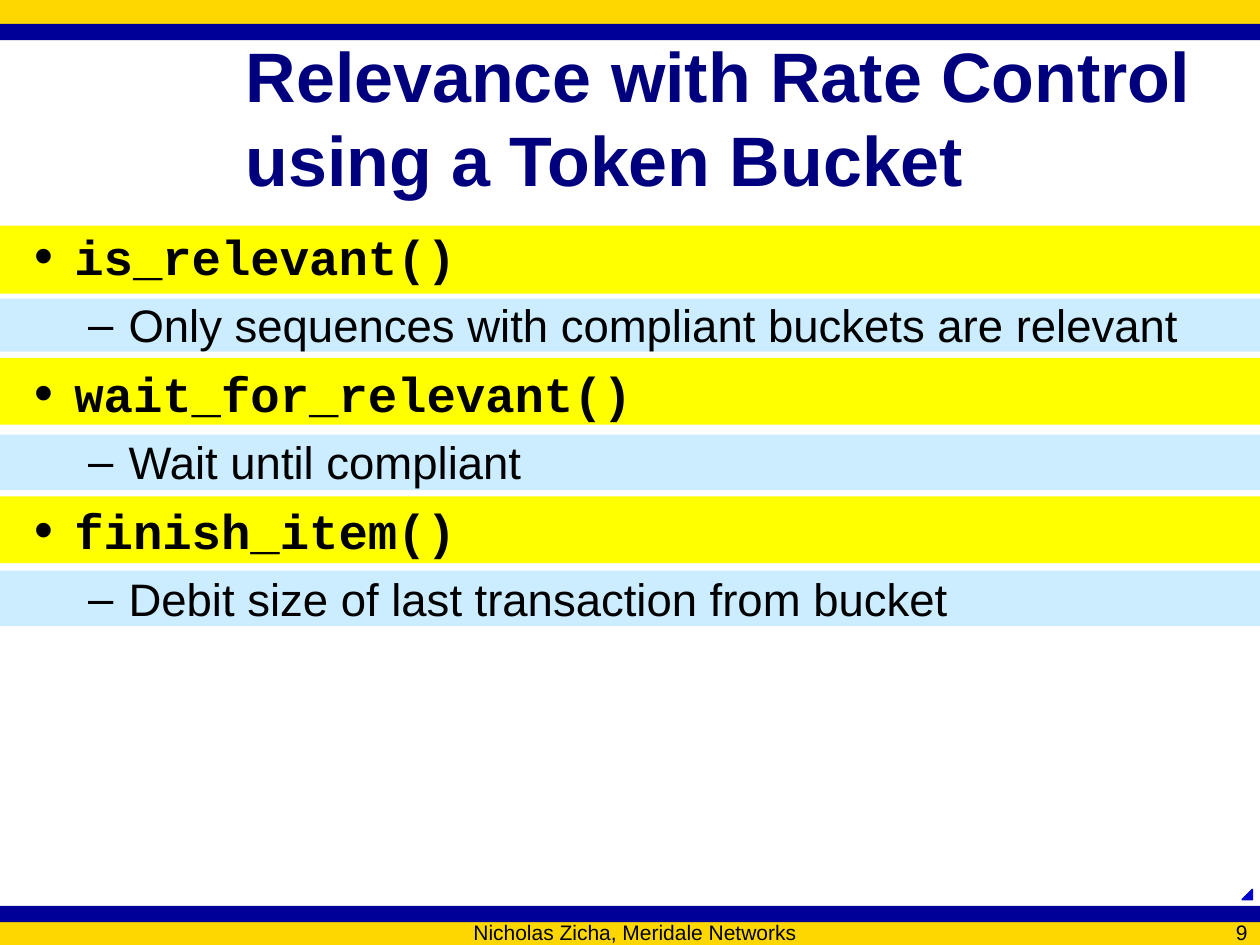
from lxml.etree import SubElement
from pptx import Presentation
from pptx.dml.color import RGBColor
from pptx.enum.shapes import MSO_SHAPE as Shape
from pptx.enum.text import MSO_ANCHOR as Anchor, MSO_AUTO_SIZE as AutoSize, PP_ALIGN as Align
from pptx.oxml.ns import qn
from pptx.util import Inches, Pt

COLORS = {
    "gold": "FFD700", "navy": "000099", "sky": "CCECFF", "yellow": "FFFF00",
    "title": "00007F", "text": "000000", "corner": "0000CC",
}
METHODS = [
    ("is_relevant()", "Only sequences with compliant buckets are relevant"),
    ("wait_for_relevant()", "Wait until compliant"),
    ("finish_item()", "Debit size of last transaction from bucket"),
]
METHOD_BANDS = [(0.04, 0.54), (1.09, 0.53), (2.19, 0.53)]
DETAIL_BANDS = [(0.62, 0.42), (1.7, 0.44), (2.78, 0.44)]


def rgb(name):
    """Return the named colour."""
    return RGBColor.from_string(COLORS[name])


def place(shape, left, top, width, height):
    """Move a shape to a box given in inches."""
    shape.left, shape.top = Inches(left), Inches(top)
    shape.width, shape.height = Inches(width), Inches(height)


def add_filled(slide, color, left, top, width, height, kind=Shape.RECTANGLE):
    """Add a flat filled shape without an outline."""
    shape = slide.shapes.add_shape(kind, Inches(left), Inches(top), Inches(width), Inches(height))
    shape.shadow.inherit = False
    shape.fill.solid()
    shape.fill.fore_color.rgb = rgb(color)
    shape.line.fill.background()
    return shape


def set_font(paragraph, name, size, color="text", bold=False):
    """Format all the text of a paragraph."""
    font = paragraph.font
    font.name, font.size, font.bold = name, Pt(size), bold
    font.color.rgb = rgb(color)


def set_bullet(paragraph, char, margin, percent):
    """Give a paragraph a hanging bullet."""
    props = paragraph._p.get_or_add_pPr()
    props.set("marL", str(Inches(margin)))
    props.set("indent", str(Inches(-0.32)))
    color = SubElement(props, qn("a:buClr"))
    SubElement(color, qn("a:srgbClr"), val=COLORS["text"])
    SubElement(props, qn("a:buSzPct"), val=str(percent * 1000))
    SubElement(props, qn("a:buFont"), typeface="Arial")
    SubElement(props, qn("a:buChar"), char=char)


def add_frame(slide, width, height):
    """Draw the gold and navy bars along the top and bottom edges."""
    gold, navy = 0.19, 0.13
    add_filled(slide, "gold", 0, 0, width, gold)
    add_filled(slide, "navy", 0, gold, width, navy)
    add_filled(slide, "gold", 0, height - gold, width, gold)
    add_filled(slide, "navy", 0, height - gold - navy + 0.01, width, navy)


def add_title(slide, left, top, width, height):
    """Fill the title placeholder."""
    title = slide.shapes.title
    place(title, left, top, width, height)
    frame = title.text_frame
    frame.text = "Relevance with Rate Control using a Token Bucket"
    frame.auto_size = AutoSize.NONE
    frame.vertical_anchor = Anchor.MIDDLE
    frame.paragraphs[0].alignment = Align.LEFT
    set_font(frame.paragraphs[0], "Arial", 40, "title", True)


def add_methods(slide, left, top, width, height, band_width):
    """Place the method list over its coloured bands."""
    for color, bands in (("sky", DETAIL_BANDS), ("yellow", METHOD_BANDS)):
        for offset, band_height in bands:
            add_filled(slide, color, 0, top + offset, band_width, band_height)
    body = slide.placeholders[1]
    slide.shapes._spTree.append(body._element)
    place(body, left, top, width, height)
    frame = body.text_frame
    frame.auto_size = AutoSize.NONE
    for index, (method, detail) in enumerate(METHODS):
        heading = frame.add_paragraph() if index else frame.paragraphs[0]
        heading.text = method
        heading.space_before = Pt(7 if index else 0)
        set_bullet(heading, "•", 0.32, 110)
        set_font(heading, "Courier New", 28, bold=True)
        point = frame.add_paragraph()
        point.text, point.level = detail, 1
        point.space_before = Pt(6.5)
        set_bullet(point, "–", 0.75, 100)
        set_font(point, "Arial", 26)


def add_footer_text(slide, text, alignment, left, top, width, height):
    """Add one line of footer text."""
    box = slide.shapes.add_textbox(Inches(left), Inches(top), Inches(width), Inches(height))
    frame = box.text_frame
    frame.word_wrap = True
    frame.vertical_anchor = Anchor.MIDDLE
    line = frame.paragraphs[0]
    line.text, line.alignment = text, alignment
    set_font(line, "Arial", 12)


def add_footer(slide, top, height):
    """Add the author, the slide number and the corner mark."""
    add_footer_text(slide, "Nicholas Zicha, Meridale Networks", Align.CENTER, 1.25, top, 7.58, height)
    add_footer_text(slide, "9", Align.RIGHT, 9, top, 1, height)
    corner = add_filled(slide, "corner", 9.86, top - 0.25, 0.08, 0.08, Shape.RIGHT_TRIANGLE)
    corner._element.spPr.xfrm.set("flipH", "1")
    corner.line.color.rgb = rgb("corner")
    corner.line.width = Pt(1)


def main():
    """Build and save the slide."""
    deck = Presentation()
    deck.slide_width, deck.slide_height = Inches(10), Inches(7.5)
    slide = deck.slides.add_slide(deck.slide_layouts[1])
    add_frame(slide, 10, 7.5)
    add_title(slide, 1.85, 0.3, 8, 1.25)
    add_methods(slide, 0.17, 1.75, 9.67, 3.78, 10)
    add_footer(slide, 7.31, 0.17)
    deck.save("out.pptx")


if __name__ == "__main__":
    main()
